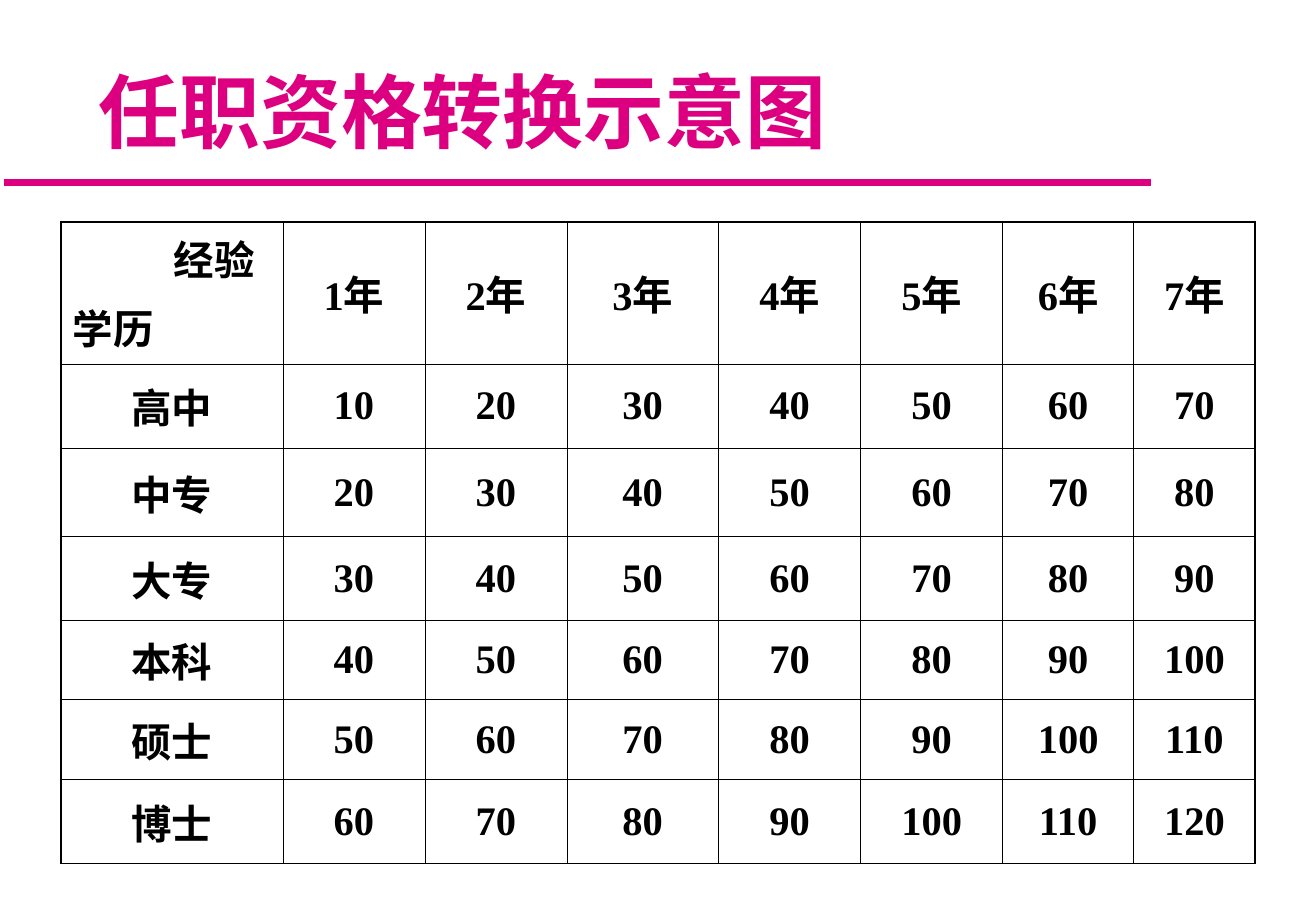
from lxml import etree
from pptx import Presentation
from pptx.dml.color import RGBColor
from pptx.enum.shapes import MSO_CONNECTOR
from pptx.enum.text import MSO_ANCHOR, PP_ALIGN
from pptx.oxml.ns import qn
from pptx.util import Inches, Pt

STRAIGHT = MSO_CONNECTOR.STRAIGHT
MIDDLE, BOTTOM = MSO_ANCHOR.MIDDLE, MSO_ANCHOR.BOTTOM
CENTER = PP_ALIGN.CENTER

COLORS = {"accent": "DC0081", "ink": "000000"}
CJK_FONT, LATIN_FONT = "Noto Sans CJK JP", "Times New Roman"
THICK, THIN = Pt(1.08), Pt(0.45)

YEARS = [f"{year}年" for year in range(1, 8)]
DEGREES = ["高中", "中专", "大专", "本科", "硕士", "博士"]
COLUMN_WIDTHS = [1.83, 1.17, 1.17, 1.25, 1.17, 1.17, 1.08, 1]
ROW_HEIGHTS = [1.17, 0.69, 0.73, 0.69, 0.65, 0.66, 0.69]


def add_run(paragraph, text, size, color, latin):
    run = paragraph.add_run()
    run.text = text
    run.font.size = Pt(size)
    run.font.bold = True
    run.font.name = latin
    run.font.color.rgb = RGBColor.from_string(COLORS[color])
    etree.SubElement(run.font._element, qn("a:ea"), typeface=CJK_FONT)


def add_title(slide, left, top, width, height):
    title = slide.shapes.add_textbox(
        Inches(left), Inches(top), Inches(width), Inches(height))
    frame = title.text_frame
    frame.word_wrap = True
    frame.vertical_anchor = BOTTOM
    frame.margin_left = Inches(0.48)
    frame.margin_bottom = Inches(0.02)
    add_run(frame.paragraphs[0], "任职资格转换示意图", 48, "accent", CJK_FONT)


def add_rule(slide, left, top, width):
    rule = slide.shapes.add_connector(
        STRAIGHT, Inches(left), Inches(top), Inches(left + width), Inches(top))
    rule.line.color.rgb = RGBColor.from_string(COLORS["accent"])
    rule.line.width = Pt(4)
    etree.SubElement(rule._element.spPr, qn("a:effectLst"))


def set_borders(cell, widths):
    """Draw the left, right, top and bottom borders with the given widths."""
    properties = cell._tc.get_or_add_tcPr()
    for side, width in zip("LRTB", widths):
        border = etree.SubElement(properties, qn(f"a:ln{side}"), w=str(width))
        fill = etree.SubElement(border, qn("a:solidFill"))
        etree.SubElement(fill, qn("a:srgbClr"), val=COLORS["ink"])


def fill_corner(cell):
    """Write the two axis names: experience at the right, degree below."""
    experience = cell.text_frame.paragraphs[0]
    experience._p.get_or_add_pPr().set("marL", str(Inches(0.83)))
    add_run(experience, "经验", 24, "ink", LATIN_FONT)
    degree = cell.text_frame.add_paragraph()
    degree.space_before = Pt(6)
    add_run(degree, "学历", 24, "ink", LATIN_FONT)


def fill_centered(cell, text):
    cell.vertical_anchor = MIDDLE
    paragraph = cell.text_frame.paragraphs[0]
    paragraph.alignment = CENTER
    add_run(paragraph, text, 24, "ink", LATIN_FONT)


def cell_text(row, column):
    if row == 0:
        return YEARS[column - 1]
    if column == 0:
        return DEGREES[row - 1]
    return str(10 * (row + column - 1))


def add_score_table(slide, left, top):
    rows, columns = len(ROW_HEIGHTS), len(COLUMN_WIDTHS)
    table = slide.shapes.add_table(
        rows, columns, Inches(left), Inches(top),
        Inches(sum(COLUMN_WIDTHS)), Inches(sum(ROW_HEIGHTS))).table
    table.first_row = False
    table.horz_banding = False
    for column, width in zip(table.columns, COLUMN_WIDTHS):
        column.width = Inches(width)
    for row, height in zip(table.rows, ROW_HEIGHTS):
        row.height = Inches(height)

    for row in range(rows):
        for column in range(columns):
            cell = table.cell(row, column)
            outer = (column == 0, column == columns - 1,
                     row == 0, row == rows - 1)
            set_borders(cell, [THICK if edge else THIN for edge in outer])
            cell.fill.background()
            if row == column == 0:
                fill_corner(cell)
            else:
                fill_centered(cell, cell_text(row, column))


def main():
    presentation = Presentation()
    presentation.slide_width = Inches(10.84)
    presentation.slide_height = Inches(7.5)
    slide = presentation.slides.add_slide(presentation.slide_layouts[6])
    add_rule(slide, 0.03, 1.5, 9.45)
    add_title(slide, 0.33, 0.25, 9.83, 1.08)
    add_score_table(slide, 0.5, 1.83)
    presentation.save("out.pptx")


if __name__ == "__main__":
    main()
